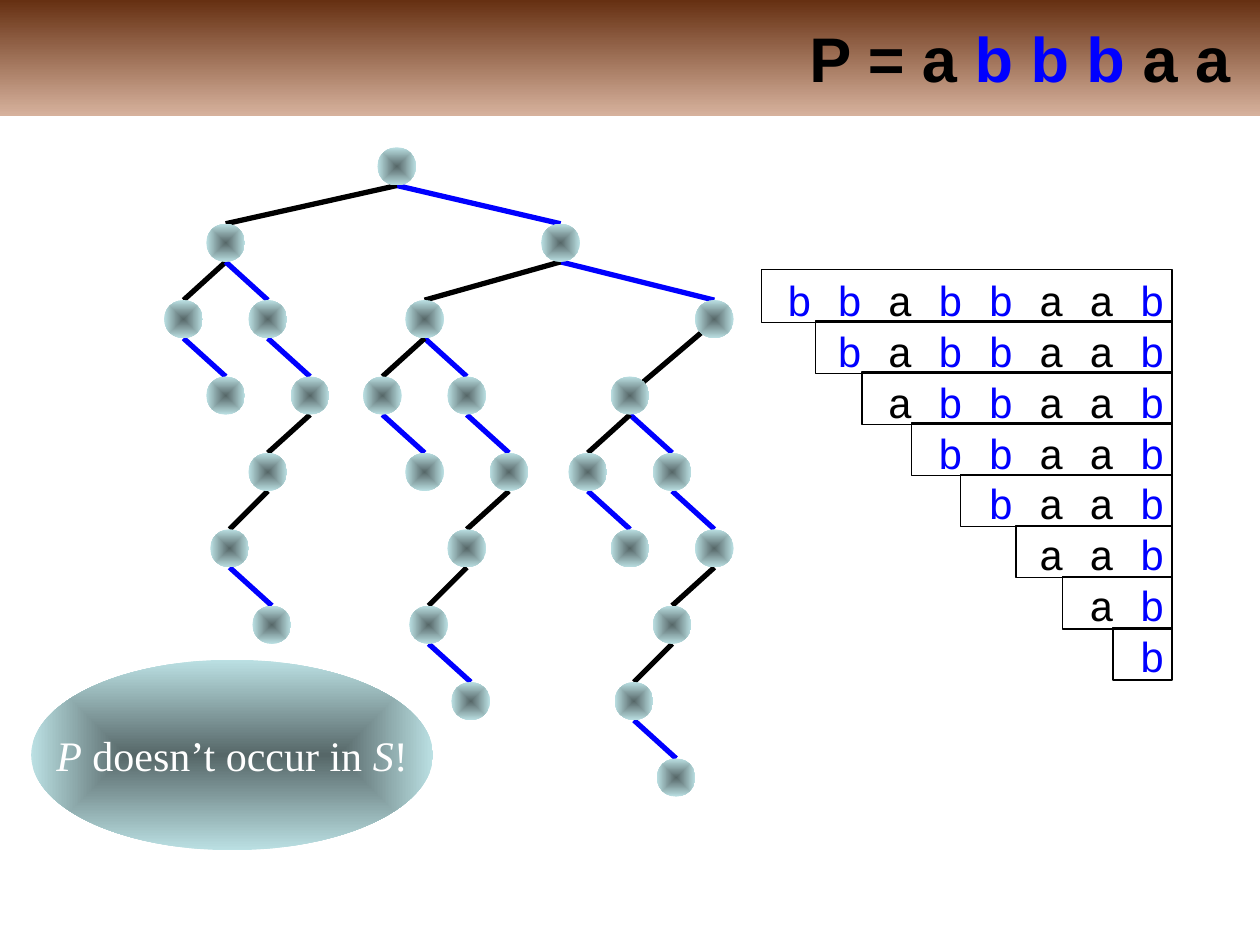
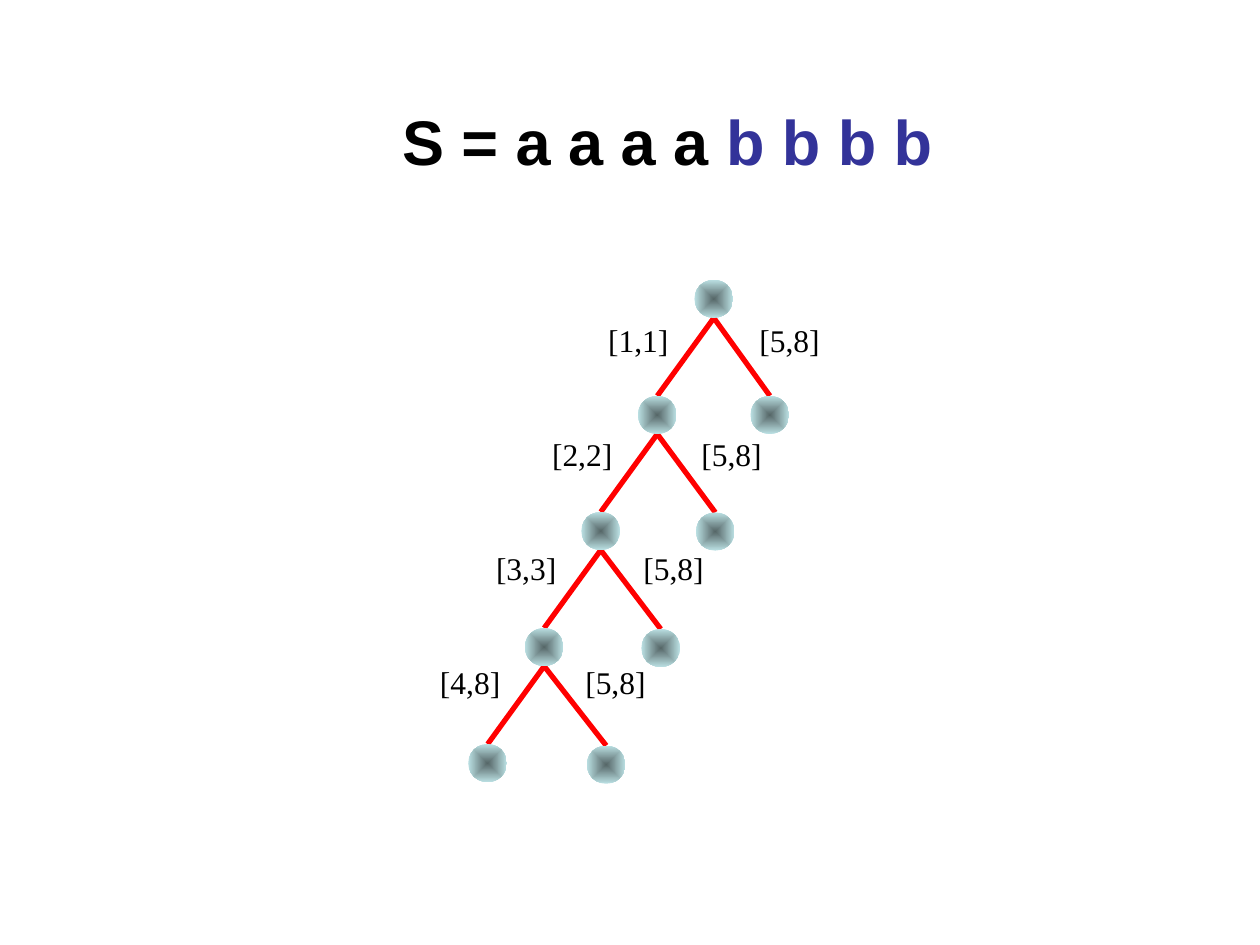
from itertools import groupby

from pptx import Presentation
from pptx import util as u
from pptx.dml.color import RGBColor
from pptx.enum import shapes, text
from pptx.oxml import parse_xml
from pptx.oxml.ns import nsdecls, qn

BLACK, WHITE, BLUE, NAVY, RED = "000000", "FFFFFF", "0000FF", "333399", "FF0000"
BAND_DARK, BAND_LIGHT = "663012", "D6B19C"
NODE_DARK, NODE_LIGHT = "566768", "BBE0E3"
BAND_SHADE = '<a:lin ang="5400000" scaled="0"/>'
NODE_SHADE = ('<a:path path="rect"><a:fillToRect l="50000" t="50000" '
              'r="50000" b="50000"/></a:path>')
NODE_W, NODE_H = 0.78, 0.77

SEQUENCE = "bbabbaab"
LEVEL_STEP = 1.54
BRANCH_STEP = 0.85
WIDE_BRANCHES = {"a": -3.45, "b": 3.3, "ba": -2.74, "bb": 3.1, "bba": -1.7}
SUFFIX_BOX_WIDTHS = [8.28, 7.19, 6.25, 5.26, 4.27, 3.15, 2.21, 1.19]


def rgb(code):
    return RGBColor.from_string(code)


def style(font, name, size, colour, bold=False, italic=False):
    font.name = name
    font.size = u.Pt(size)
    font.color.rgb = rgb(colour)
    font.bold = bold
    font.italic = italic


def place(shape, left, top, width, height):
    shape.left, shape.top = u.Cm(left), u.Cm(top)
    shape.width, shape.height = u.Cm(width), u.Cm(height)


def shade(shape, start, end, direction):
    shape.fill.gradient()
    properties = shape._element.spPr
    properties.replace(properties.find(qn("a:gradFill")), parse_xml(
        f'<a:gradFill rotWithShape="1" {nsdecls("a")}><a:gsLst>'
        f'<a:gs pos="0"><a:srgbClr val="{start}"/></a:gs>'
        f'<a:gs pos="100000"><a:srgbClr val="{end}"/></a:gs>'
        f'</a:gsLst>{direction}</a:gradFill>'))


def add_ellipse(slide, left, top, width, height):
    ellipse = slide.shapes.add_shape(
        shapes.MSO_SHAPE.OVAL, u.Cm(left), u.Cm(top), u.Cm(width), u.Cm(height))
    ellipse.shadow.inherit = False
    ellipse.line.fill.background()
    shade(ellipse, NODE_DARK, NODE_LIGHT, NODE_SHADE)
    return ellipse


def add_node(slide, centre, top):
    add_ellipse(slide, centre - NODE_W / 2, top, NODE_W, NODE_H)


def add_edge(slide, parent, child, colour, slant=0):
    (x1, y1), (x2, y2) = parent, child
    edge = slide.shapes.add_connector(
        shapes.MSO_CONNECTOR.STRAIGHT,
        u.Cm(x1 - slant), u.Cm(y1 + NODE_H - slant / 2),
        u.Cm(x2 + slant), u.Cm(y2 + slant / 2))
    edge.line.color.rgb = rgb(colour)
    edge.line.width = u.Pt(3)
    edge._element.spPr.append(parse_xml(f'<a:effectLst {nsdecls("a")}/>'))


def write_symbols(paragraph, symbols, font_name, size, b_colour, bold=False):
    pieces = [(is_b, " ".join(group)) for is_b, group in
              groupby(symbols.split(), lambda symbol: symbol == "b")]
    for number, (is_b, piece) in enumerate(pieces, 1):
        run = paragraph.add_run()
        run.text = piece + (" " if number < len(pieces) else "")
        style(run.font, font_name, size, b_colour if is_b else BLACK, bold)


def set_title(slide, box, symbols, b_colour, align, right_margin=0.25):
    title = slide.shapes.title
    place(title, *box)
    frame = title.text_frame
    frame.vertical_anchor = text.MSO_ANCHOR.MIDDLE
    frame.auto_size = text.MSO_AUTO_SIZE.NONE
    frame.margin_right = u.Cm(right_margin)
    frame.paragraphs[0].alignment = align
    write_symbols(frame.paragraphs[0], symbols, "Arial", 36, b_colour, True)
    return title


def draw_suffix_trie(slide, root_x, root_top):
    prefixes = {SEQUENCE[start:end] for start in range(len(SEQUENCE))
                for end in range(start + 1, len(SEQUENCE) + 1)
                if end <= len(SEQUENCE)}
    suffixes = [SEQUENCE[start:] for start in range(2, len(SEQUENCE))]
    branches = [suffix for suffix in ("aab", "abbaab", "baab", "babbaab",
                                      "bbaab", "bbabbaab")]
    shown = {branch[:end] for branch in branches
             for end in range(1, len(branch) + 1)}
    nodes = {"": (root_x, root_top)}
    for prefix in sorted(shown & prefixes, key=len):
        parent = nodes[prefix[:-1]]
        default = -BRANCH_STEP if prefix[-1] == "a" else BRANCH_STEP
        if prefix.endswith("abbaa") or prefix == "abbaa":
            default = -0.77
        shift = WIDE_BRANCHES.get(prefix, default)
        nodes[prefix] = (parent[0] + shift, parent[1] + LEVEL_STEP)
        add_edge(slide, parent, nodes[prefix],
                 BLACK if prefix[-1] == "a" else BLUE,
                 0.25 if prefix == "bba" else 0)
    for centre, top in nodes.values():
        add_node(slide, centre, top)


def draw_suffix_list(slide, right, top):
    listing = slide.shapes.add_textbox(
        u.Cm(right - 8.05), u.Cm(top - 0.03), u.Cm(8.15), u.Cm(8.8))
    frame = listing.text_frame
    frame.word_wrap = True
    for row, width in enumerate(SUFFIX_BOX_WIDTHS):
        paragraph = frame.add_paragraph() if row else frame.paragraphs[0]
        paragraph.alignment = text.PP_ALIGN.RIGHT
        paragraph.line_spacing = u.Pt(29)
        write_symbols(paragraph, " ".join(SEQUENCE[row:]), "Courier New", 24, BLUE)
        border = slide.shapes.add_shape(
            shapes.MSO_SHAPE.RECTANGLE, u.Cm(right - width),
            u.Cm(top + row * 1.03), u.Cm(width), u.Cm(1.06))
        border.shadow.inherit = False
        border.fill.background()
        border.line.color.rgb = rgb(BLACK)
        border.line.width = u.Pt(0.75)


def draw_verdict(slide, left, top, width, height):
    verdict = add_ellipse(slide, left, top, width, height)
    frame = verdict.text_frame
    frame.word_wrap = False
    frame.vertical_anchor = text.MSO_ANCHOR.MIDDLE
    paragraph = frame.paragraphs[0]
    paragraph.alignment = text.PP_ALIGN.CENTER
    for piece in ("P", " doesn’t occur in ", "S", "!"):
        run = paragraph.add_run()
        run.text = piece
        style(run.font, "Times New Roman", 24, WHITE, italic=piece in ("P", "S"))


def add_range_label(slide, left, top, label):
    box = slide.shapes.add_textbox(u.Cm(left), u.Cm(top), u.Cm(1.73), u.Cm(1.02))
    box.text_frame.word_wrap = False
    box.text_frame.text = label
    style(box.text_frame.paragraphs[0].runs[0].font, "Times New Roman", 18, BLACK)


def draw_range_tree(slide, root_x, root_top, left_labels, right_label):
    spine = [(root_x - 1.14 * level, root_top + 2.34 * level)
             for level in range(len(left_labels) + 1)]
    leaves = [(root_x + 1.13 - 1.1 * level, root_top + 2.34 + 2.35 * level)
              for level in range(len(left_labels))]
    for level, label in enumerate(left_labels):
        add_edge(slide, spine[level], spine[level + 1], RED)
        add_edge(slide, spine[level], leaves[level], RED)
        label_top = root_top + 0.71 + 2.3 * level
        add_range_label(slide, root_x - 2.38 - 1.13 * level, label_top, label)
        add_range_label(slide, root_x + 0.67 - 1.17 * level, label_top, right_label)
    for centre, top in spine + leaves:
        add_node(slide, centre, top)


def build_search_slide(slide):
    band = set_title(slide, (0, 0, 25.4, 2.33), "P = a b b b a a", BLUE,
                     text.PP_ALIGN.RIGHT, 0.6)
    shade(band, BAND_DARK, BAND_LIGHT, BAND_SHADE)
    draw_suffix_trie(slide, 8.0, 2.97)
    draw_suffix_list(slide, 23.63, 5.44)
    draw_verdict(slide, 0.63, 13.3, 8.1, 3.84)


def build_range_slide(slide):
    set_title(slide, (2.97, 0.84, 20.96, 3.99), "S = a a a a b b b b", NAVY,
              text.PP_ALIGN.CENTER)
    draw_range_tree(slide, 14.39, 5.64, ["[1,1]", "[2,2]", "[3,3]", "[4,8]"], "[5,8]")


def main():
    deck = Presentation()
    deck.slide_width, deck.slide_height = u.Cm(25.4), u.Cm(19.05)
    title_only = deck.slide_layouts[5]
    for build in (build_search_slide, build_range_slide):
        build(deck.slides.add_slide(title_only))
    deck.save("out.pptx")


if __name__ == "__main__":
    main()
